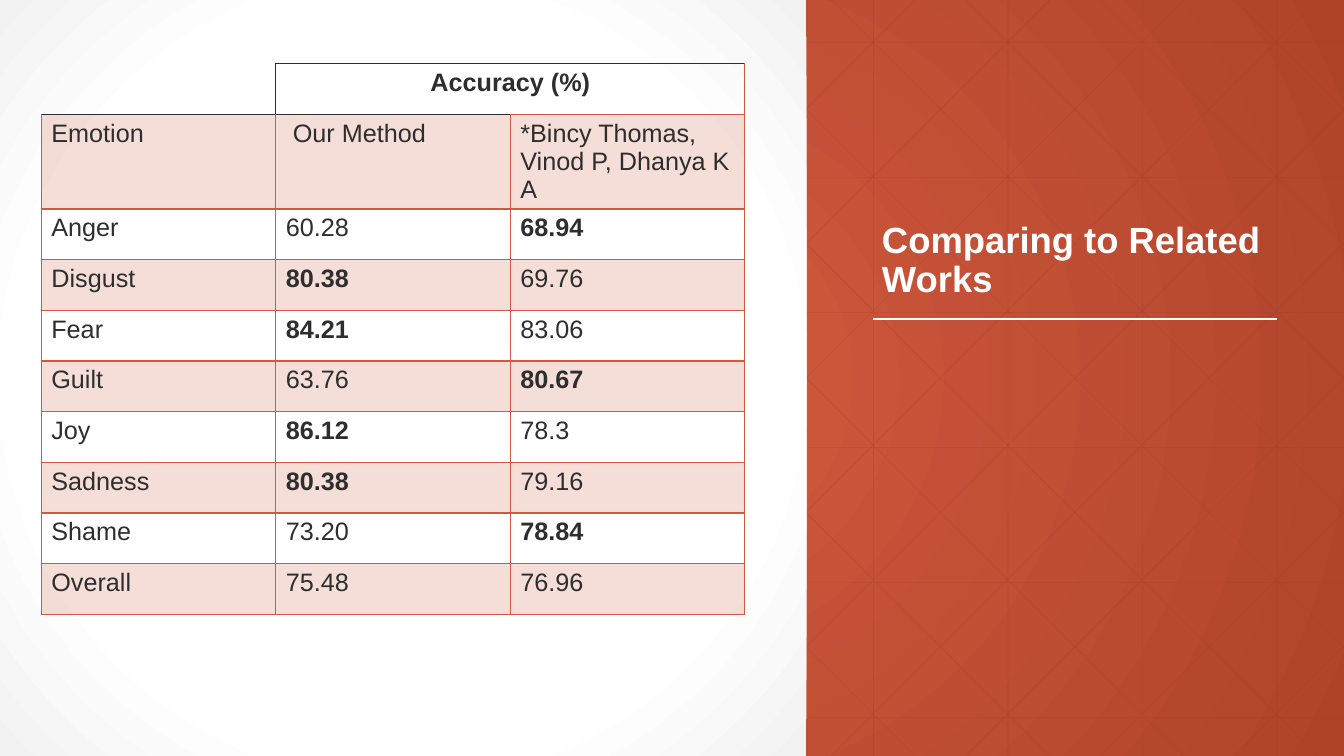
from dataclasses import dataclass

from pptx import Presentation
from pptx.dml.color import RGBColor
from pptx.enum.shapes import MSO_CONNECTOR as Connector, MSO_SHAPE as Preset
from pptx.enum.text import MSO_ANCHOR as Anchor, MSO_AUTO_SIZE as AutoSize, PP_ALIGN as Align
from pptx.oxml import parse_xml
from pptx.oxml.ns import nsdecls, qn
from pptx.util import Inches, Pt
from lxml.etree import SubElement


@dataclass(frozen=True)
class Theme:
    font: str = "Arial"
    accent: str = "D15A3E"
    accent_dark: str = "AF432A"
    grid: str = "A43F27"
    ink: str = "2D2E2D"
    white: str = "FFFFFF"
    panel_edge: str = "F2F2F2"
    title_size: int = 26
    table_size: int = 18
    grid_opacity: int = 25
    band_opacity: int = 20


@dataclass(frozen=True)
class Segment:
    x1: float
    y1: float
    x2: float
    y2: float


@dataclass(frozen=True)
class Result:
    emotion: str
    ours: str
    related: str


THEME = Theme()
WIDTH, HEIGHT, PANEL_WIDTH = 40 / 3, 7.5, 8
PITCH = 4 / 3
HEADER = Result("Emotion", " Our Method", "*Bincy Thomas, Vinod P, Dhanya K A")
RESULTS = [
    Result("Anger", "60.28", "68.94"),
    Result("Disgust", "80.38", "69.76"),
    Result("Fear", "84.21", "83.06"),
    Result("Guilt", "63.76", "80.67"),
    Result("Joy", "86.12", "78.3"),
    Result("Sadness", "80.38", "79.16"),
    Result("Shame", "73.20", "78.84"),
    Result("Overall", "75.48", "76.96"),
]


def set_opacity(element, percent: int) -> None:
    color = next(element.iter(qn("a:srgbClr")))
    SubElement(color, qn("a:alpha")).set("val", str(percent * 1000))


def fill_radial(fill, owner, stops: list[tuple[int, str]]) -> None:
    """Fill from the centre outwards; stops are percent and colour."""
    fill.gradient()
    gradient = next(owner.iter(qn("a:gradFill")))
    stop_xml = "".join(
        f'<a:gs pos="{percent * 1000}"><a:srgbClr val="{color}"/></a:gs>'
        for percent, color in stops)
    gradient.getparent().replace(gradient, parse_xml(
        f'<a:gradFill {nsdecls("a")} rotWithShape="1"><a:gsLst>{stop_xml}</a:gsLst>'
        '<a:path path="circle"><a:fillToRect l="50000" t="50000" r="50000" b="50000"/>'
        '</a:path></a:gradFill>'))


def draw_line(slide, segment: Segment, color: str, width: float, opacity: int = 100) -> None:
    line = slide.shapes.add_connector(
        Connector.STRAIGHT, Inches(segment.x1), Inches(segment.y1),
        Inches(segment.x2), Inches(segment.y2))
    line.line.color.rgb = RGBColor.from_string(color)
    line.line.width = Pt(width)
    if opacity < 100:
        set_opacity(line.element, opacity)
    SubElement(line.element.spPr, qn("a:effectLst"))


def format_text(paragraph, size: int, color: str, bold: bool) -> None:
    for run in paragraph.runs:
        run.font.name = THEME.font
        run.font.size = Pt(size)
        run.font.bold = bold
        run.font.color.rgb = RGBColor.from_string(color)


def grid_segments() -> list[Segment]:
    """Squares and both diagonals that reach the area right of the panel."""
    segments = []
    for i in range(4):
        x = 2 / 3 + PITCH * (6 + i)
        segments.append(Segment(x, 0, x, HEIGHT))
    for i in range(6):
        y = 0.42 + 1.34 * i
        segments.append(Segment(0, y, WIDTH, y))
    for i in range(9):
        top = 1.58 + PITCH * i
        right = min(WIDTH, top + HEIGHT)
        segments.append(Segment(top, 0, right, right - top))
        top = 9.08 + PITCH * i
        left, right = top - HEIGHT, min(WIDTH, top)
        segments.append(Segment(right, top - right, left, HEIGHT))
    return segments


def set_borders(cell, left: str, right: str, top: str, bottom: str) -> None:
    """Give each side a colour, or an empty string for no line."""
    properties = cell._tc.get_or_add_tcPr()
    for side, color in zip("LRTB", (left, right, top, bottom)):
        border = SubElement(properties, qn(f"a:ln{side}"), w=str(Pt(1)))
        if color:
            fill = SubElement(border, qn("a:solidFill"))
            SubElement(fill, qn("a:srgbClr"), val=color)
        else:
            SubElement(border, qn("a:noFill"))


def fill_cell(cell, text: str, bold: bool, banded: bool) -> None:
    cell.text_frame.text = text
    format_text(cell.text_frame.paragraphs[0], THEME.table_size, THEME.ink, bold)
    if banded:
        cell.fill.solid()
        cell.fill.fore_color.rgb = RGBColor.from_string(THEME.accent)
        set_opacity(cell._tc.tcPr.find(qn("a:solidFill")), THEME.band_opacity)
    else:
        cell.fill.background()


def add_accuracy_table(slide) -> None:
    rows = [HEADER, *RESULTS]
    table = slide.shapes.add_table(
        len(rows) + 1, 3, Inches(0.41), Inches(0.63), Inches(6.98), Inches(5.47)).table
    table.first_row = table.horz_banding = False
    for row in table.rows:
        row.height = Inches(5.03) // 10
    table.rows[1].height = Inches(0.94)

    # Top row: blank corner and merged heading
    red, dark = THEME.accent, THEME.ink
    set_borders(table.cell(0, 0), "", dark, "", dark)
    set_borders(table.cell(0, 1), dark, red, dark, dark)
    set_borders(table.cell(0, 2), dark, red, dark, red)
    table.cell(0, 0).fill.background()
    heading = table.cell(0, 1)
    heading.merge(table.cell(0, 2))
    fill_cell(heading, "Accuracy (%)", True, False)
    heading.text_frame.paragraphs[0].alignment = Align.CENTER

    # Column names and results, the better method in bold
    for i, result in enumerate(rows, start=1):
        best = ""
        if result is not HEADER and result.emotion != "Overall":
            best = max(result.ours, result.related, key=float)
        for j, text in enumerate((result.emotion, result.ours, result.related)):
            cell = table.cell(i, j)
            top = dark if i == 1 and j < 2 else red
            set_borders(cell, red, red, top, red)
            fill_cell(cell, text, text == best, i % 2 == 1)


def set_title(slide) -> None:
    title = slide.shapes.title
    title.left, title.top = Inches(8.65), Inches(0.63)
    title.width, title.height = Inches(4), Inches(2.4)
    frame = title.text_frame
    frame.text = "Comparing to Related Works"
    frame.word_wrap = True
    frame.auto_size = AutoSize.NONE
    frame.vertical_anchor = Anchor.BOTTOM
    paragraph = frame.paragraphs[0]
    paragraph.alignment = Align.LEFT
    paragraph.line_spacing = 0.9
    format_text(paragraph, THEME.title_size, THEME.white, True)
    title.element.getparent().append(title.element)  # in front of the grid


presentation = Presentation()
presentation.slide_width, presentation.slide_height = Inches(WIDTH), Inches(HEIGHT)
slide = presentation.slides.add_slide(presentation.slide_layouts[5])

# Background with grid
fill_radial(slide.background.fill, slide.element,
            [(0, THEME.accent), (100, THEME.accent_dark)])
for segment in grid_segments():
    draw_line(slide, segment, THEME.grid, 0.5, THEME.grid_opacity)

# White panel
panel = slide.shapes.add_shape(Preset.RECTANGLE, 0, 0, Inches(PANEL_WIDTH), Inches(HEIGHT))
panel.shadow.inherit = False
panel.line.fill.background()
fill_radial(panel.fill, panel.element,
            [(0, THEME.white), (69, THEME.white), (100, THEME.panel_edge)])

# Title, rule and table
rule_y = 19 / 6
draw_line(slide, Segment(8.66, rule_y, 12.67, rule_y), THEME.white, 1.5)
set_title(slide)
add_accuracy_table(slide)

presentation.save("out.pptx")
